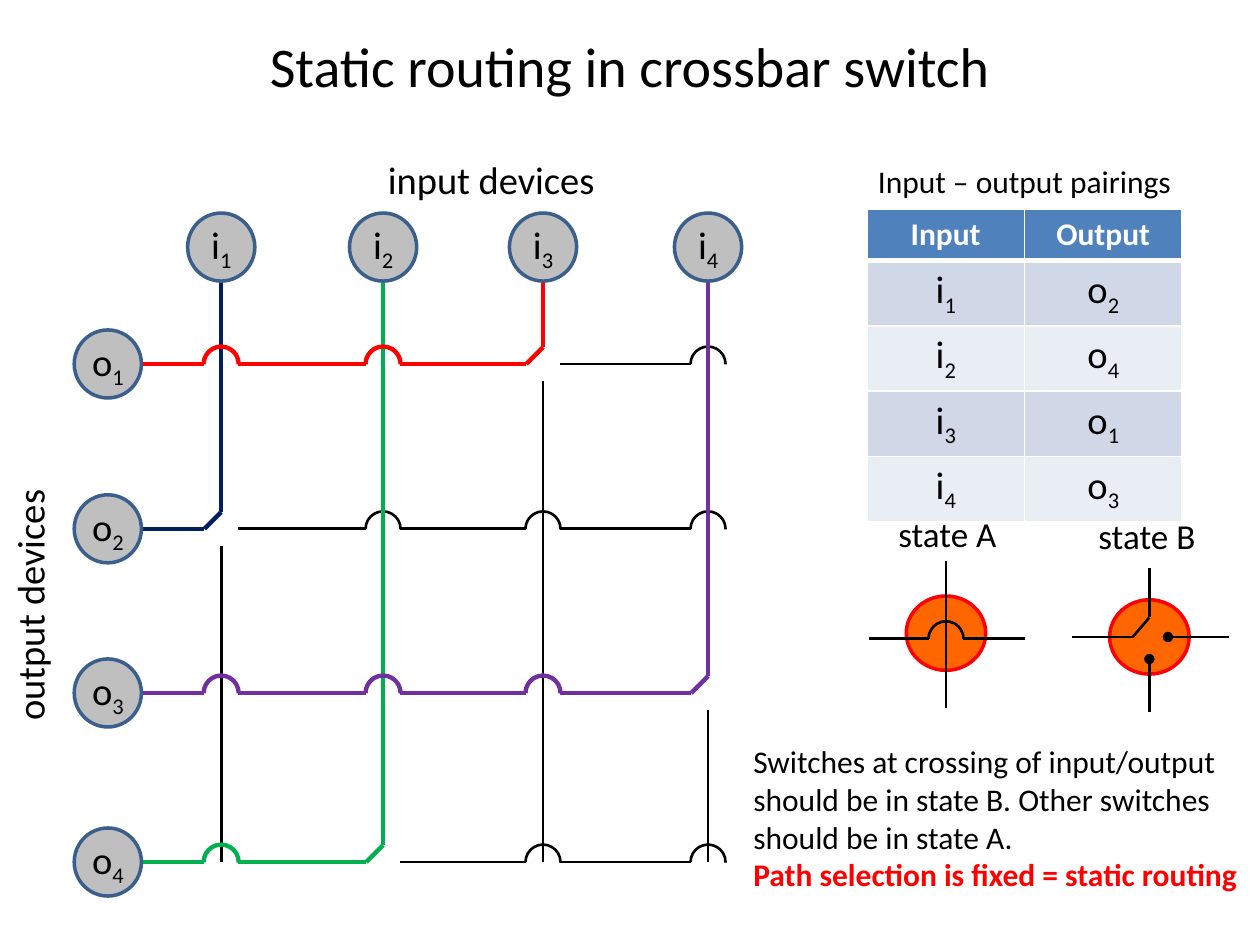
from lxml import etree
from pptx import Presentation
from pptx.dml.color import RGBColor
from pptx.enum.shapes import MSO_CONNECTOR, MSO_SHAPE
from pptx.enum.text import MSO_ANCHOR, MSO_AUTO_SIZE, PP_ALIGN
from pptx.oxml.ns import qn
from pptx.util import Pt

STRAIGHT = MSO_CONNECTOR.STRAIGHT
OVAL, ARC = MSO_SHAPE.OVAL, MSO_SHAPE.ARC
LEFT, CENTER = PP_ALIGN.LEFT, PP_ALIGN.CENTER
MIDDLE, TOP = MSO_ANCHOR.MIDDLE, MSO_ANCHOR.TOP
GROW = MSO_AUTO_SIZE.SHAPE_TO_FIT_TEXT

BLACK = RGBColor(0x00, 0x00, 0x00)
WHITE = RGBColor(0xFF, 0xFF, 0xFF)
RED = RGBColor(0xFF, 0x00, 0x00)
NAVY = RGBColor(0x00, 0x20, 0x60)
GREEN = RGBColor(0x00, 0xB0, 0x50)
PURPLE = RGBColor(0x70, 0x30, 0xA0)
GREY = RGBColor(0xBF, 0xBF, 0xBF)
NODE_EDGE = RGBColor(0x3A, 0x5F, 0x8C)
ORANGE = RGBColor(0xFF, 0x66, 0x00)
HEADER = RGBColor(0x4F, 0x81, 0xBD)
BAND_DARK = RGBColor(0xD0, 0xD8, 0xE8)
BAND_LIGHT = RGBColor(0xE9, 0xED, 0xF4)

COLUMN_X = [126.4, 218.9, 310.3, 404.6]
ROW_Y = [208, 302.2, 396, 492.6]
ROUTES = [(2, NAVY), (4, GREEN), (1, RED), (3, PURPLE)]  # output and colour of each input
GAP = 9.6
HOP = 20
NODE_W, NODE_H = 38.4, 38.9
INPUT_Y, OUTPUT_X = 141.2, 61.6


class Board:
    """The current slide, its font, and one method per kind of element."""
    font = "Calibri"

    def __init__(self, slide):
        self.s = slide
        self.shapes = slide.shapes

    def style(self, p, size, color=BLACK, bold=False, align=LEFT):
        p.alignment = align
        p.font.name, p.font.size, p.font.bold = self.font, Pt(size), bold
        p.font.color.rgb = color

    def subscripted(self, p, letter, index):
        p.add_run().text = letter
        r = p.add_run()
        r.text = str(index)
        r._r.get_or_add_rPr().set("baseline", "-25000")
        self.style(p, 22, align=CENTER)

    def text(self, x, y, w, h, lines, size, wrap=False, align=LEFT, anchor=TOP, rotation=0):
        """Add a text box; lines holds (wording, colour, bold) for each paragraph."""
        sp = self.shapes.add_textbox(Pt(x), Pt(y), Pt(w), Pt(h))
        sp.rotation = rotation
        tf = sp.text_frame
        tf.word_wrap, tf.auto_size, tf.vertical_anchor = wrap, GROW, anchor
        for i, (wording, color, bold) in enumerate(lines):
            p = tf.paragraphs[0] if i == 0 else tf.add_paragraph()
            p.text = wording
            self.style(p, size, color, bold, align)

    def label(self, x, y, w, h, wording, size, **options):
        self.text(x, y, w, h, [(wording, BLACK, False)], size, **options)

    def line(self, x1, y1, x2, y2, color=BLACK, dot=False):
        """Add a wire, with a round dot at its start if asked for."""
        c = self.shapes.add_connector(STRAIGHT, Pt(x1), Pt(y1), Pt(x2), Pt(y2))
        self.stroke(c, color)
        props = c._element.spPr
        if dot:
            etree.SubElement(props.find(qn("a:ln")), qn("a:headEnd"), type="oval")
        etree.SubElement(props, qn("a:effectLst"))

    def stroke(self, sp, color):
        sp.line.color.rgb = color
        sp.line.width = Pt(1.5 if color == BLACK else 2.5)

    def hop(self, x, y, color=BLACK):
        """Add the half circle that carries a row wire over a column wire."""
        sp = self.shapes.add_shape(ARC, Pt(x - HOP / 2), Pt(y - HOP / 2), Pt(HOP), Pt(HOP))
        sp.rotation = 270
        sp.adjustments[0], sp.adjustments[1] = 162, 54.74
        sp.shadow.inherit = False
        sp.fill.background()
        self.stroke(sp, color)

    def ellipse(self, x, y, w, h, fill, edge):
        """Add an ellipse centred on x, y."""
        sp = self.shapes.add_shape(OVAL, Pt(x - w / 2), Pt(y - h / 2), Pt(w), Pt(h))
        sp.shadow.inherit = False
        sp.fill.solid()
        sp.fill.fore_color.rgb = fill
        sp.line.color.rgb = edge
        sp.line.width = Pt(2)
        return sp

    def node(self, x, y, letter, index):
        tf = self.ellipse(x, y, NODE_W, NODE_H, GREY, NODE_EDGE).text_frame
        tf.margin_left = tf.margin_right = tf.margin_top = tf.margin_bottom = 0
        tf.vertical_anchor = MIDDLE
        self.subscripted(tf.paragraphs[0], letter, index)

    def switch(self, x, y):
        """Start a group with an orange switch body; later shapes join it."""
        self.shapes = self.s.shapes.add_group_shape().shapes
        self.ellipse(x, y, 45.4, 42.5, ORANGE, RED)

    def end_group(self):
        self.shapes = self.s.shapes

    def cell_style(self, cell, fill, bottom=1):
        cell.fill.solid()
        cell.fill.fore_color.rgb = fill
        props = cell._tc.get_or_add_tcPr()
        for i, side in enumerate(("lnL", "lnR", "lnT", "lnB")):
            width = Pt(bottom if side == "lnB" else 1)
            ln = etree.Element(qn(f"a:{side}"), w=str(width))
            solid = etree.SubElement(ln, qn("a:solidFill"))
            etree.SubElement(solid, qn("a:srgbClr"), val=str(WHITE))
            props.insert(i, ln)

    def pairing_table(self, x, y, w, h):
        rows = len(ROUTES) + 1
        table = self.shapes.add_table(rows, 2, Pt(x), Pt(y), Pt(w), Pt(h)).table
        for col, heading in enumerate(("Input", "Output")):
            cell = table.cell(0, col)
            cell.text = heading
            self.style(cell.text_frame.paragraphs[0], 18, WHITE, True, CENTER)
            self.cell_style(cell, HEADER, bottom=3)
        for i, (output, _) in enumerate(ROUTES, 1):
            for col, (letter, index) in enumerate((("i", i), ("o", output))):
                cell = table.cell(i, col)
                self.subscripted(cell.text_frame.paragraphs[0], letter, index)
                self.cell_style(cell, BAND_DARK if i % 2 else BAND_LIGHT)


def draw_crossbar(b):
    for col, (x, (output, color)) in enumerate(zip(COLUMN_X, ROUTES)):
        y = ROW_Y[output - 1]
        b.line(x, INPUT_Y + NODE_H / 2, x, y - GAP, color)
        b.line(x, y - GAP, x - GAP, y, color)
        if y != ROW_Y[-1]:
            b.line(x, y + GAP, x, ROW_Y[-1])
        start = OUTPUT_X + NODE_W / 2
        for k, crossing in enumerate(COLUMN_X):
            b.line(start, y, crossing - GAP, y, color if k <= col else BLACK)
            if k != col:
                b.hop(crossing, y, color if k < col else BLACK)
            start = crossing + GAP
    for i, (x, y) in enumerate(zip(COLUMN_X, ROW_Y), 1):
        b.node(x, INPUT_Y, "i", i)
        b.node(OUTPUT_X, y, "o", i)


def draw_switch_states(b):
    x, y = 540.6, 365
    b.switch(x, 361.8)
    b.line(x, 320.4, x, 404.6)
    b.line(x - GAP, y, 496.8, y)
    b.line(586, y, x + GAP, y)
    b.hop(x, y)

    x, y = 656.8, 364
    b.switch(x, y)
    b.line(647.3, y, 612.7, y)
    b.line(667.4, y, 702, y, dot=True)
    b.line(x, 324.7, x, 352.8)
    b.line(x, 376.6, x, 406.8, dot=True)
    b.line(x, 352.8, 647.3, y)
    b.end_group()


def main():
    prs = Presentation()
    prs.slide_width, prs.slide_height = Pt(720), Pt(540)
    b = Board(prs.slides.add_slide(prs.slide_layouts[6]))
    b.label(36, 12.2, 648, 50.4, "Static routing in crossbar switch", 32,
            wrap=True, align=CENTER, anchor=MIDDLE)
    draw_crossbar(b)
    b.label(214.6, 85.7, 133.9, 33.8, "input devices", 22)
    b.label(-56.9, 328.3, 147.6, 33.8, "output devices", 22, rotation=270)
    b.label(494.6, 89.3, 184.3, 28.8, "Input – output pairings", 18)
    b.pairing_table(495.4, 119.5, 180, 147.6)
    b.label(506.2, 289.4, 71.3, 31.7, "state A", 20)
    b.label(620.6, 290.2, 70.6, 31.7, "state B", 20)
    draw_switch_states(b)
    b.text(423.4, 420.5, 299.5, 94.3, [
        ("Switches at crossing of input/output should be in state B. "
         "Other switches should be in state A.", BLACK, False),
        ("Path selection is fixed = static routing", RED, True)], 18, wrap=True)
    prs.save("out.pptx")


if __name__ == "__main__":
    main()
